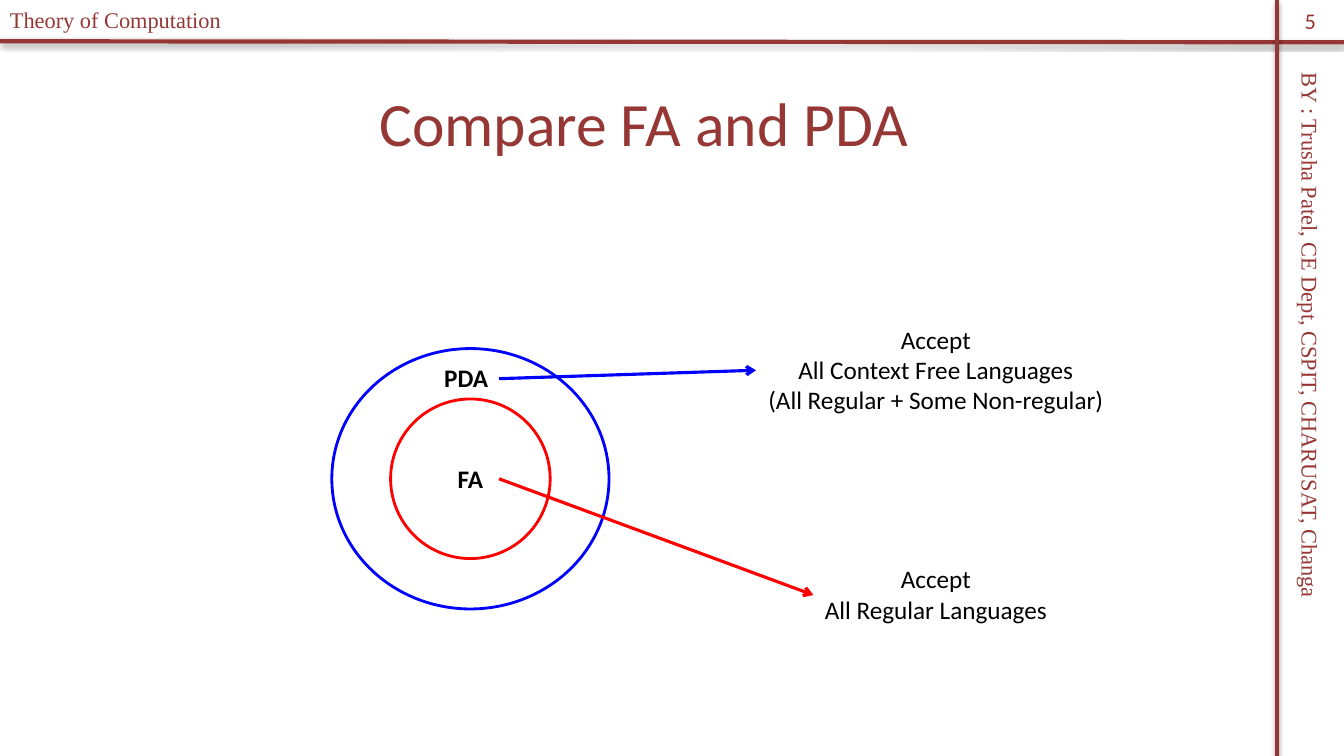
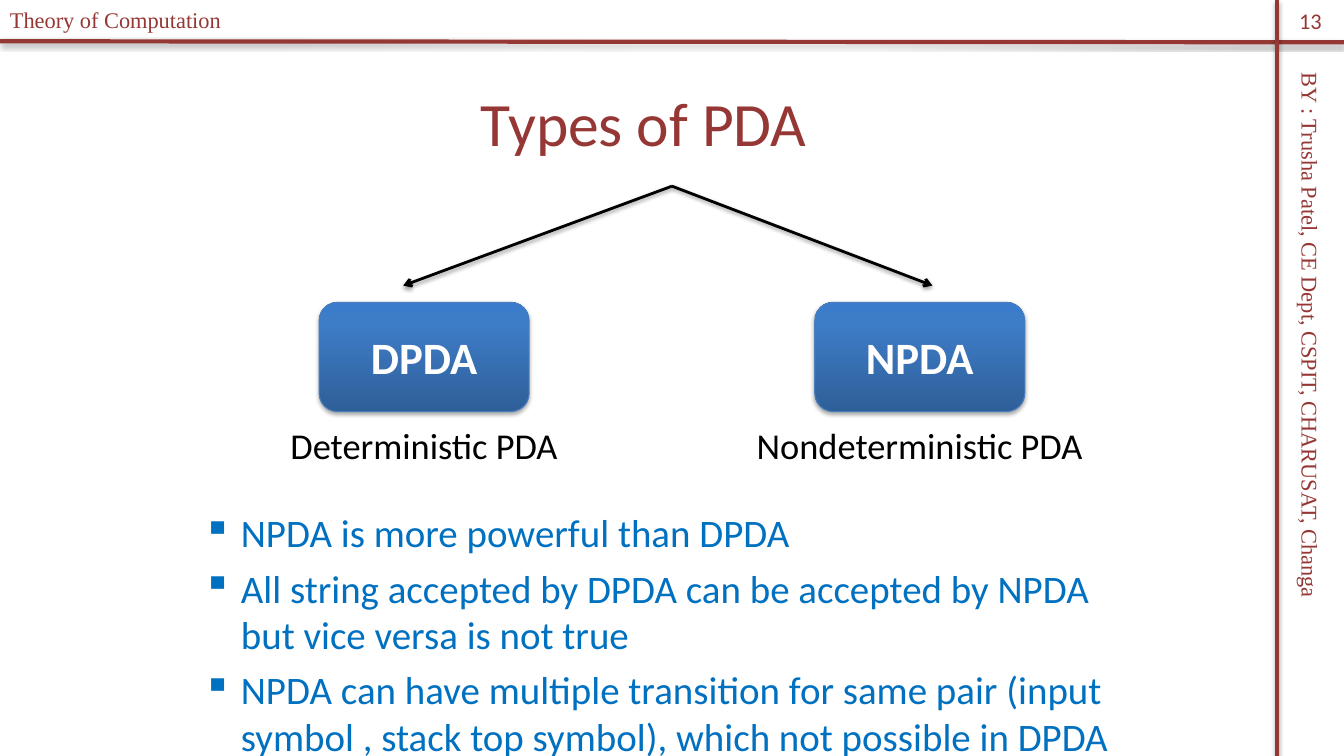
from copy import deepcopy
from dataclasses import dataclass
from pptx import Presentation
from pptx.dml.color import RGBColor as RGB
from pptx.enum.shapes import MSO_CONNECTOR as Link, MSO_SHAPE as Kind
from pptx.enum.text import MSO_ANCHOR as Anchor, PP_ALIGN as Align
from pptx.oxml.ns import qn
from pptx.oxml.xmlchemy import OxmlElement as Node
from pptx.util import Pt


@dataclass(frozen=True)
class Theme:
    sans: str = "Calibri"
    serif: str = "Times New Roman"
    maroon: str = "953735"
    black: str = "000000"
    white: str = "FFFFFF"
    red: str = "FF0000"
    blue: str = "0000FF"
    sky: str = "0070C0"
    edge: str = "4B7EBC"
    blend: tuple = ((0, "2F5F99"), (0.8, "3D7CC7"), (1, "3A7CCB"))
    head: float = 44
    card: float = 32
    body: float = 27.8
    label: float = 26
    note: float = 18
    small: float = 16


T = Theme()


def rgb(code):
    return RGB.from_string(code)


def pts(*nums):
    return [Pt(n) for n in nums]


def add(root, tag, **attrs):
    node = Node(tag)
    for key, val in attrs.items():
        node.set(key, str(val))
    root.append(node)
    return node


def shade(item, alpha=None, dist=1.8):
    root = add(item._element.spPr, "a:effectLst")
    if alpha:
        cast = add(root, "a:outerShdw", blurRad=Pt(3.1), dist=Pt(dist),
                   dir=5400000, rotWithShape=0)
        tint = add(cast, "a:srgbClr", val=T.black)
        add(tint, "a:alpha", val=alpha * 1000)


def write(shape, text, size=T.note, color=T.black, font=T.sans, bold=False,
          align=Align.CENTER, anchor=Anchor.MIDDLE, wrap=True, bullet=None,
          gap=0, pitch=None):
    frame = shape.text_frame
    frame.word_wrap = wrap
    frame.vertical_anchor = anchor
    frame.text = text
    for para in frame.paragraphs:
        para.alignment = align
        para.space_before = Pt(gap)
        if pitch:
            para.line_spacing = pitch
        face = para.font
        face.name, face.size, face.bold = font, Pt(size), bold
        face.color.rgb = rgb(color)
        if bullet:
            props = para._p.get_or_add_pPr()
            props.set("marL", str(Pt(27)))
            props.set("indent", str(Pt(-27)))
            mark = Node("a:buChar")
            mark.set("char", bullet)
            props.find(qn("a:defRPr")).addprevious(mark)


def box(slide, area, text, turn=0, **fmt):
    shape = slide.shapes.add_textbox(*pts(*area))
    shape.rotation = turn
    write(shape, text, **fmt)


def line(slide, start, end, color, width, arrow=False, alpha=None, dist=1.8):
    link = slide.shapes.add_connector(Link.STRAIGHT, *pts(*start, *end))
    link.line.color.rgb = rgb(color)
    link.line.width = Pt(width)
    if arrow:
        add(link.line._get_or_add_ln(), "a:tailEnd", type="arrow")
    shade(link, alpha, dist)


def ring(slide, mid, wide, high, color):
    left, top = mid[0] - wide / 2, mid[1] - high / 2
    shape = slide.shapes.add_shape(Kind.OVAL, *pts(left, top, wide, high))
    shape.shadow.inherit = False
    shape.fill.background()
    shape.line.color.rgb = rgb(color)
    shape.line.width = Pt(2)
    return shape


def blend(shape):
    fill = shape.fill
    fill.gradient()
    fill.gradient_angle = 90
    stops = shape._element.spPr.find(qn("a:gradFill")).find(qn("a:gsLst"))
    stops.append(deepcopy(stops[-1]))
    for stop, (place, code) in zip(fill.gradient_stops, T.blend):
        stop.position = place
        stop.color.rgb = rgb(code)


def card(slide, mid, name, label):
    shape = slide.shapes.add_shape(
        Kind.ROUNDED_RECTANGLE, *pts(mid - 75, 216, 150, 78))
    blend(shape)
    shape.line.color.rgb = rgb(T.edge)
    shape.line.width = Pt(0.75)
    shade(shape, 35)
    write(shape, name, size=T.card, color=T.white, bold=True)
    plate = slide.shapes.add_shape(
        Kind.RECTANGLE, *pts(mid - 135, 300, 270, 36))
    plate.shadow.inherit = False
    plate.fill.solid()
    plate.fill.fore_color.rgb = rgb(T.white)
    plate.line.fill.background()
    write(plate, label, size=T.label)


def page(deck, title, number):
    slide = deck.slides.add_slide(deck.slide_layouts[6])
    line(slide, (0, 29.5), (960, 30.2), T.maroon, 3, alpha=35)
    line(slide, (912, 0), (912, 540), T.maroon, 3, alpha=35)
    side = dict(size=T.small, color=T.maroon, font=T.serif,
                align=Align.LEFT, anchor=Anchor.TOP)
    box(slide, (707, 260.6, 458, 26.6),
        "BY : Trusha Patel, CE Dept, CSPIT, CHARUSAT, Changa", turn=90, **side)
    box(slide, (0, 0.7, 237, 26.6), "Theory of Computation", **side)
    box(slide, (16, 42, 888, 90), title, size=T.head, color=T.maroon)
    box(slide, (912, 0, 48, 29), number, size=T.small, color=T.maroon)
    return slide


def compare(deck):
    slide = page(deck, "Compare FA and PDA", "5")
    mid = (336, 342)
    write(ring(slide, mid, 114, 114, T.red), "FA", bold=True)
    ring(slide, mid, 198, 186, T.blue)
    note = dict(anchor=Anchor.TOP, wrap=False)
    box(slide, (310, 255.5, 46, 29), "PDA", bold=True, **note)
    box(slide, (581, 399, 175, 51), "Accept\nAll Regular Languages", **note)
    box(slide, (540, 228, 257, 73),
        "Accept\nAll Context Free Languages\n(All Regular + Some Non-regular)",
        **note)
    line(slide, (356.5, 270.5), (540, 264.5), T.blue, 2.25, arrow=True)
    line(slide, (356.5, 342), (581, 425), T.red, 2.25, arrow=True)


def types(deck):
    slide = page(deck, "Types of PDA", "13")
    facts = (
        "NPDA is more powerful than DPDA",
        "All string accepted by DPDA can be accepted by NPDA "
        "but vice versa is not true",
        "NPDA can have multiple transition for same pair (input symbol , "
        "stack top symbol), which not possible in DPDA",
    )
    box(slide, (138, 360, 684, 168), "\n".join(facts), size=T.body,
        color=T.sky, align=Align.LEFT, anchor=Anchor.TOP, bullet="▪", gap=6)
    card(slide, 303, "DPDA", "Deterministic PDA")
    card(slide, 657, "NPDA", "Nondeterministic PDA")
    for tip in (288, 666):
        line(slide, (480, 133), (tip, 204), T.black, 2, arrow=True,
             alpha=38, dist=1.6)


def main():
    deck = Presentation()
    deck.slide_width, deck.slide_height = pts(960, 540)
    compare(deck)
    types(deck)
    deck.save("out.pptx")


if __name__ == "__main__":
    main()
